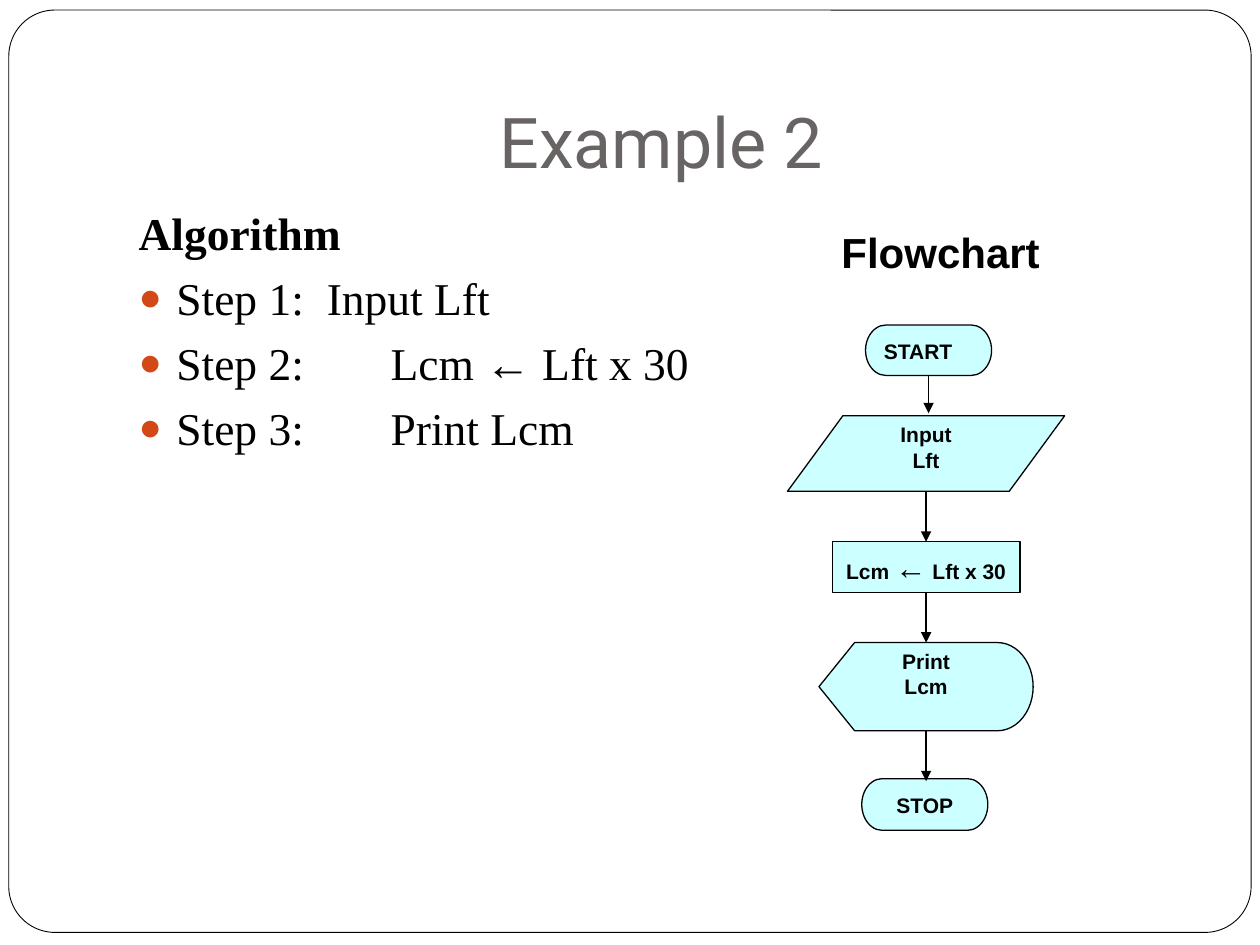
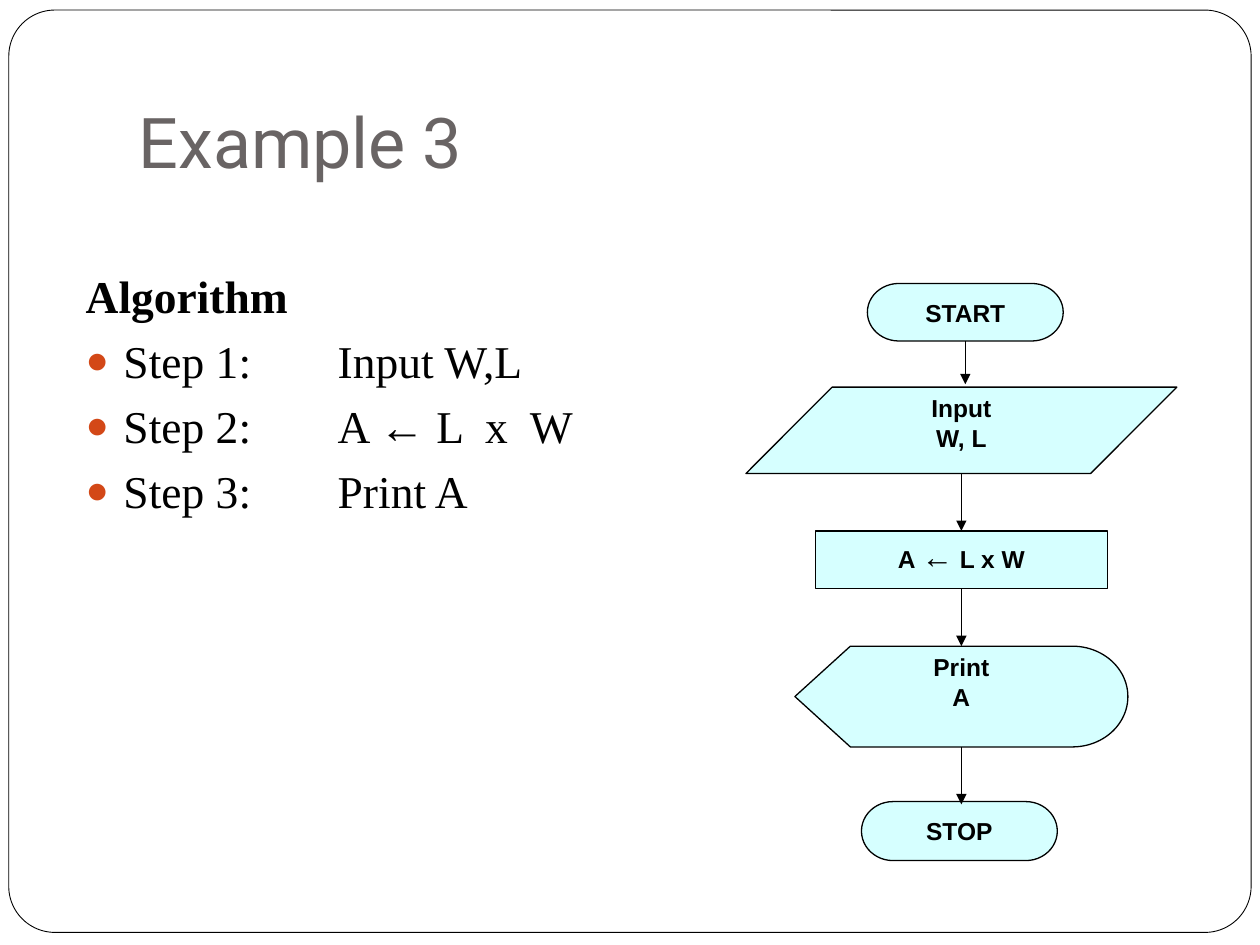
from lxml import etree
from pptx import Presentation
from pptx.dml.color import RGBColor
from pptx.enum.shapes import MSO_CONNECTOR, MSO_SHAPE
from pptx.enum.text import MSO_ANCHOR, MSO_AUTO_SIZE, PP_ALIGN
from pptx.oxml.ns import qn
from pptx.util import Inches, Pt

LEFT, CENTER = PP_ALIGN.LEFT, PP_ALIGN.CENTER
TOP, BOTTOM = MSO_ANCHOR.TOP, MSO_ANCHOR.BOTTOM
NO_AUTOFIT = MSO_AUTO_SIZE.NONE
STRAIGHT = MSO_CONNECTOR.STRAIGHT
ROUNDED = MSO_SHAPE.ROUNDED_RECTANGLE
TERMINATOR = MSO_SHAPE.FLOWCHART_TERMINATOR
DATA = MSO_SHAPE.FLOWCHART_DATA
PROCESS = MSO_SHAPE.FLOWCHART_PROCESS
DISPLAY = MSO_SHAPE.FLOWCHART_DISPLAY

INK, PAPER, TITLE_GRAY, BULLET, NODE_FILL = (
    "000000", "FFFFFF", "696464", "D34817", "CCFFFF")
TITLE_FONT, LIST_FONT, CHART_FONT = "Roboto", "Times New Roman", "Arial"

# Flowchart on a 2.2 x 4.01 grid: shape, axis offset, top, width, height
GRID_WIDTH, GRID_HEIGHT = 2.2, 4.01
NODES = [
    (TERMINATOR, 0.02, 0, 1, 0.4),
    (DATA, 0, 0.72, 2.2, 0.6),
    (PROCESS, 0, 1.72, 1.49, 0.4),
    (DISPLAY, 0, 2.52, 1.7, 0.7),
    (TERMINATOR, -0.01, 3.6, 1, 0.41),
]
# Arrows on the same grid: axis offset, start, end
ARROWS = [(0.02, 0.4, 0.7), (0, 1.32, 1.72), (0, 2.12, 2.52), (0, 3.22, 3.62)]


def color(hex_string):
    return RGBColor.from_string(hex_string)


def set_font(font, name, size, hex_string=INK, bold=False):
    font.name, font.size, font.bold = name, Pt(size), bold
    font.color.rgb = color(hex_string)


def place(shape, box):
    shape.left, shape.top, shape.width, shape.height = map(Inches, box)


def add_outlined(slide, kind, box, fill, line_width):
    shape = slide.shapes.add_shape(kind, *map(Inches, box))
    shape.shadow.inherit = False
    shape.fill.solid()
    shape.fill.fore_color.rgb = color(fill)
    shape.line.color.rgb = color(INK)
    shape.line.width = Pt(line_width)
    return shape


def add_frame(slide, master):
    """Draw the rounded page frame and hand it to the master."""
    frame = add_outlined(slide, ROUNDED, (0.07, 0.08, 9.86, 7.32), PAPER, 0.5)
    frame.adjustments[0] = 0.05
    master.shapes.element.insert(2, frame.element)


def fill_title(slide, text, align):
    title = slide.shapes.title
    place(title, (1, 0.3, 8.5, 1.25))
    frame = title.text_frame
    frame.text = text
    frame.auto_size = NO_AUTOFIT
    frame.vertical_anchor = BOTTOM
    frame.margin_bottom = Inches(0.1)
    paragraph = frame.paragraphs[0]
    paragraph.alignment = align
    set_font(paragraph.font, TITLE_FONT, 40, TITLE_GRAY)


def set_bullet(paragraph, bulleted):
    """Give a hanging indent, and a round bullet and tab stop to steps."""
    props = paragraph._p.get_or_add_pPr()
    props.set("marL", str(Inches(0.3)))
    props.set("indent", str(Inches(-0.3)))
    if not bulleted:
        etree.SubElement(props, qn("a:buNone"))
        return
    tint = etree.SubElement(props, qn("a:buClr"))
    etree.SubElement(tint, qn("a:srgbClr"), val=BULLET)
    etree.SubElement(props, qn("a:buSzPct"), val="85000")
    etree.SubElement(props, qn("a:buFont"), typeface=CHART_FONT)
    etree.SubElement(props, qn("a:buChar"), char="●")
    stops = etree.SubElement(props, qn("a:tabLst"))
    etree.SubElement(stops, qn("a:tab"), pos=str(Inches(2)), algn="l")


def fill_algorithm(slide, box, steps):
    body = slide.placeholders[1]
    place(body, box)
    frame = body.text_frame
    frame.auto_size = NO_AUTOFIT
    frame.text = "\n".join(["Algorithm", *steps])
    for row, paragraph in enumerate(frame.paragraphs):
        set_bullet(paragraph, row > 0)
        paragraph.space_before = Pt(5.8 if row else 0)
        set_font(paragraph.font, LIST_FONT, 26, bold=row == 0)


def add_arrow(slide, x, start, end):
    arrow = slide.shapes.add_connector(
        STRAIGHT, Inches(x), Inches(start), Inches(x), Inches(end))
    arrow.line.color.rgb = color(INK)
    arrow.line.width = Pt(0.75)
    etree.SubElement(arrow.line._get_or_add_ln(), qn("a:tailEnd"), type="triangle")
    etree.SubElement(arrow.element.spPr, qn("a:effectLst"))


def write_label(node, label, size, align):
    """Write a node's lines, with any assignment arrow larger and not bold."""
    frame = node.text_frame
    frame.word_wrap = True
    frame.vertical_anchor = TOP
    for row, line in enumerate(label.split("\n")):
        paragraph = frame.add_paragraph() if row else frame.paragraphs[0]
        paragraph.alignment = align
        set_font(paragraph.font, CHART_FONT, size, bold=True)
        before, assign, after = line.partition("←")
        for text in filter(None, (before, assign, after)):
            run = paragraph.add_run()
            run.text = text
            set_font(run.font, CHART_FONT, 18 if text == "←" else size,
                     bold=text != "←")


def add_flowchart(slide, box, labels, size, opacity=100, start_align=CENTER):
    left, top, width, height = box
    across, down = width / GRID_WIDTH, height / GRID_HEIGHT
    axis = left + width / 2
    for row, (label, (kind, offset, y, w, h)) in enumerate(zip(labels, NODES)):
        node_box = (axis + (offset - w / 2) * across, top + y * down,
                    w * across, h * down)
        node = add_outlined(slide, kind, node_box, NODE_FILL, 0.75)
        if opacity < 100:
            tint = node.element.spPr.find(qn("a:solidFill"))[0]
            etree.SubElement(tint, qn("a:alpha"), val=str(opacity * 1000))
        write_label(node, label, size, CENTER if row else start_align)
    for offset, start, end in ARROWS:
        add_arrow(slide, axis + offset * across, top + start * down, top + end * down)


def add_heading(slide, text, box):
    heading = slide.shapes.add_textbox(*map(Inches, box))
    frame = heading.text_frame
    frame.word_wrap = True
    frame.text = text
    set_font(frame.paragraphs[0].font, CHART_FONT, 24, bold=True)


def add_example(deck, title, align, list_box, steps):
    slide = deck.slides.add_slide(deck.slide_layouts[1])
    fill_title(slide, title, align)
    fill_algorithm(slide, list_box, steps)
    return slide


def main():
    deck = Presentation()
    deck.slide_width, deck.slide_height = Inches(10), Inches(7.5)

    feet = add_example(
        deck, "Example 2", CENTER, (1, 1.58, 8.5, 5),
        ["Step 1:  Input Lft", "Step 2: \tLcm ← Lft x 30", "Step 3: \tPrint Lcm"])
    add_frame(feet, deck.slide_master)
    add_flowchart(
        feet, (6.25, 2.58, 2.2, 4.01),
        ["START", "Input\nLft", "Lcm ← Lft x 30", "Print\nLcm", "STOP"],
        12, start_align=LEFT)
    add_heading(feet, "Flowchart", (6.58, 1.75, 2.42, 0.5))

    area = add_example(
        deck, "Example 3", LEFT, (0.58, 2.08, 9, 4.25),
        ["Step 1: \tInput W,L", "Step 2: \tA ← L  x  W", "Step 3: \tPrint A"])
    add_flowchart(
        area, (5.92, 2.25, 3.42, 4.58),
        ["START", "Input\nW, L", "A ← L x W", "Print\nA", "STOP"],
        14, opacity=80)

    deck.save("out.pptx")


if __name__ == "__main__":
    main()
